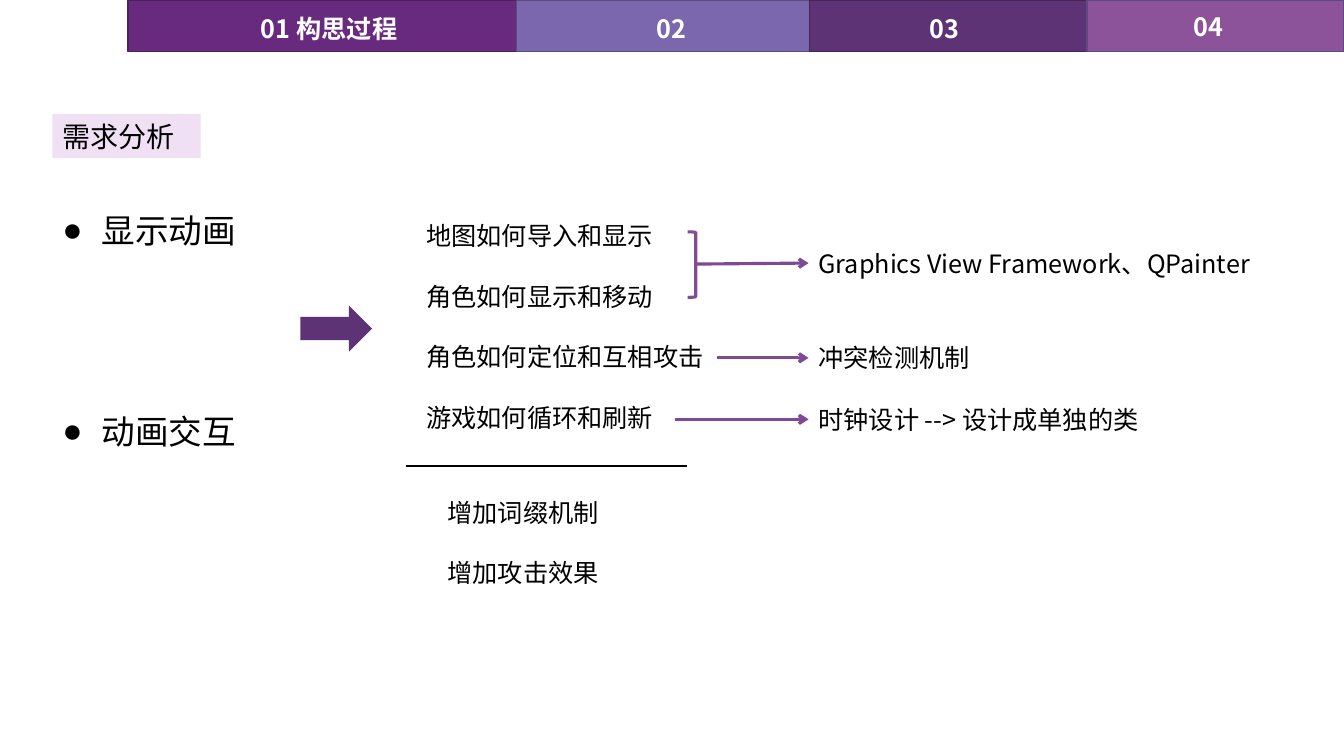
from lxml import etree
from pptx import Presentation, util as u
from pptx.dml.color import RGBColor
from pptx.enum import shapes, text
from pptx.oxml.ns import qn

PX = 9144  # EMU per px, 100 px to the inch
FONT, BULLET_FONT = "Noto Sans CJK SC", "Arial"
LINE_HEIGHT = 1.2  # height of a drawn line, in em
BLACK, WHITE, ARROW = "000000", "FFFFFF", "804994"

# left, width, fill, line, label, label left, label top, label width
TABS = [
    (127, 558, "682A7E", "4D1F5D", "01 构思过程", 249, 8, 180),
    (512, 311, "7B67AD", "5B4C80", "02", 641, 8, 100),
    (803, 287, "5E3376", "462657", "03", 912, 8, 68),
    (1078, 255, "8D539A", "5B4C80", "04", 1174, 6, 63),
]
TAB_HEIGHT, LABEL_HEIGHT = 51, 40

SECTION = ("需求分析", (52, 113, 147, 44))
# lines, box, size in pt, line pitch in px, bulleted
LISTS = [
    (["显示动画", "动画交互"], (52, 203, 210, 252), 24, 200, True),
    (["地图如何导入和显示", "角色如何显示和移动", "角色如何定位和互相攻击", "游戏如何循环和刷新"],
     (413, 214, 328, 222), 18, 60, False),
    (["增加词缀机制", "增加攻击效果"], (434, 488, 216, 101), 18, 60, False),
]
# answer, top of its box, start of its arrow
ANSWERS = [
    ("Graphics View Framework、QPainter", 241, (691, 262)),
    ("冲突检测机制", 335, (711, 355)),
    ("时钟设计 --> 设计成单独的类", 396, (669, 416)),
]
ANSWER_LEFT, ANSWER_WIDTH, ANSWER_HEIGHT = 802, 524, 40
BIG_ARROW = (298, 303, 71, 46)
BRACKET = (682, 230, 8, 65)
DIVIDER = ((403, 462), (681, 462))


def rgb(value):
    return RGBColor.from_string(value)


def emu(*lengths):
    return [u.Emu(length * PX) for length in lengths]


def add_block(parent, kind, box, fill=None, line=None, width=1):
    block = parent.add_shape(kind, *emu(*box))
    block.shadow.inherit = False
    if fill:
        block.fill.solid()
        block.fill.fore_color.rgb = rgb(fill)
    else:
        block.fill.background()
    if line:
        block.line.color.rgb = rgb(line)
        block.line.width = u.Pt(width)
    else:
        block.line.fill.background()
    return block


def add_bullet(paragraph):
    props = paragraph._p.get_or_add_pPr()
    props.set("marL", str(39 * PX))
    props.set("indent", str(-39 * PX))
    etree.SubElement(props, qn("a:buFont")).set("typeface", BULLET_FONT)
    etree.SubElement(props, qn("a:buChar")).set("char", "●")


def write(shape, lines, size, color=BLACK, bold=False, pitch=0, bulleted=False,
          anchor=text.MSO_ANCHOR.MIDDLE):
    frame = shape.text_frame
    frame.word_wrap = True
    frame.vertical_anchor = anchor
    for i, words in enumerate(lines):
        paragraph = frame.add_paragraph() if i else frame.paragraphs[0]
        paragraph.alignment = text.PP_ALIGN.LEFT
        if i:
            paragraph.space_before = u.Pt(round(pitch * 0.72 - size * LINE_HEIGHT, 1))
        if bulleted:
            add_bullet(paragraph)
        run = paragraph.add_run()
        run.text = words
        for key, value in {"size": u.Pt(size), "bold": bold, "name": FONT}.items():
            setattr(run.font, key, value)
        run.font.color.rgb = rgb(color)
        etree.SubElement(run._r.get_or_add_rPr(), qn("a:ea")).set("typeface", FONT)


def add_line(parent, start, end, color, width, arrow=False):
    line = parent.add_connector(shapes.MSO_CONNECTOR.STRAIGHT, *emu(*start, *end))
    line.line.color.rgb = rgb(color)
    line.line.width = u.Pt(width)
    if arrow:
        etree.SubElement(line.line._get_or_add_ln(), qn("a:tailEnd")).set("type", "arrow")
    etree.SubElement(line._element.spPr, qn("a:effectLst"))
    return line


def main():
    deck = Presentation()
    deck.slide_width, deck.slide_height = u.Inches(13.33), u.Inches(7.5)
    parts = deck.slides.add_slide(deck.slide_layouts[6]).shapes
    rect = shapes.MSO_SHAPE.RECTANGLE

    for left, width, fill, line, label, label_left, label_top, label_width in TABS:
        tab = parts.add_group_shape().shapes
        add_block(tab, rect, (left, 0, width, TAB_HEIGHT), fill, line)
        title = add_block(tab, rect, (label_left, label_top, label_width, LABEL_HEIGHT), fill)
        write(title, [label], 18, WHITE, bold=True)

    heading, heading_box = SECTION
    write(add_block(parts, rect, heading_box, "EFE0F4"), [heading], 20)

    for lines, box, size, pitch, bulleted in LISTS:
        write(parts.add_textbox(*emu(*box)), lines, size, pitch=pitch, bulleted=bulleted,
              anchor=text.MSO_ANCHOR.TOP)

    add_block(parts, shapes.MSO_SHAPE.RIGHT_ARROW, BIG_ARROW, "5E3376")
    add_block(parts, shapes.MSO_SHAPE.RIGHT_BRACKET, BRACKET, line="834B95", width=2.25)
    add_line(parts, *DIVIDER, BLACK, 1.5)

    for words, top, start in ANSWERS:
        answer = parts.add_textbox(*emu(ANSWER_LEFT, top, ANSWER_WIDTH, ANSWER_HEIGHT))
        write(answer, [words], 18)
        end = (ANSWER_LEFT, top + ANSWER_HEIGHT // 2)
        add_line(parts, start, end, ARROW, 2.25, arrow=True).end_connect(answer, 1)

    deck.save("out.pptx")


if __name__ == "__main__":
    main()
